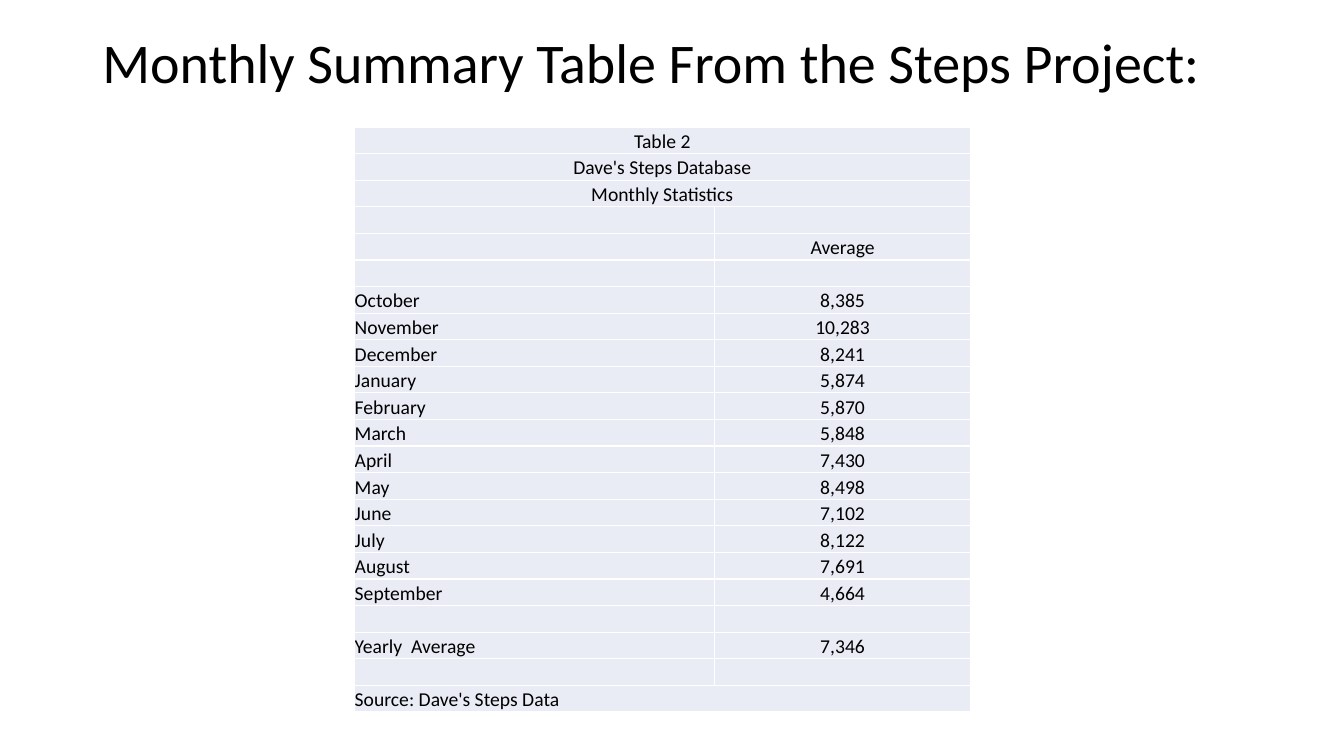
from dataclasses import dataclass

from lxml import etree
from pptx import Presentation
from pptx import util as u
from pptx.dml.color import RGBColor
from pptx.enum import text
from pptx.oxml import ns


@dataclass(frozen=True)
class Theme:
    font: str = "Calibri"
    ink: str = "000000"
    cell: str = "E9EBF5"
    border: str = "FFFFFF"
    title_size: int = 40
    table_size: int = 14
    border_width: int = 1


theme = Theme()


def style_runs(p, size):
    for r in p.runs:
        r.font.name = theme.font
        r.font.size = u.Pt(size)
        r.font.color.rgb = RGBColor.from_string(theme.ink)


def add_borders(cell):
    tc_pr = cell._tc.get_or_add_tcPr()
    for i, side in enumerate(("lnL", "lnR", "lnT", "lnB")):
        ln = etree.Element(ns.qn(f"a:{side}"), w=str(u.Pt(theme.border_width)))
        fill = etree.SubElement(ln, ns.qn("a:solidFill"))
        etree.SubElement(fill, ns.qn("a:srgbClr"), val=theme.border)
        tc_pr.insert(i, ln)


prs = Presentation()
prs.slide_width, prs.slide_height = u.Cm(33.87), u.Cm(19.05)
s = prs.slides.add_slide(prs.slide_layouts[6])

# Title
title = s.shapes.add_textbox(u.Cm(2.33), u.Cm(0.66), u.Cm(29.21), u.Cm(1.98))
tf = title.text_frame
tf.word_wrap = True
tf.vertical_anchor = text.MSO_ANCHOR.MIDDLE
tf.text = "Monthly Summary Table From the Steps Project:"
tf.paragraphs[0].line_spacing = 0.9
style_runs(tf.paragraphs[0], theme.title_size)

# Monthly averages
headings = ["Table 2", "Dave's Steps Database", "Monthly Statistics"]
averages = [
    ("October", "8,385"), ("November", "10,283"), ("December", "8,241"),
    ("January", "5,874"), ("February", "5,870"), ("March", "5,848"),
    ("April", "7,430"), ("May", "8,498"), ("June", "7,102"),
    ("July", "8,122"), ("August", "7,691"), ("September", "4,664"),
]
blank = ("", "")
rows = [
    *((heading, "") for heading in headings),
    blank, ("", "Average"), blank,
    *averages,
    blank, ("Yearly  Average", "7,346"), blank,
    ("Source: Dave's Steps Data", ""),
]
merged_rows = [*range(len(headings)), len(rows) - 1]
col_widths = (u.Cm(9.09), u.Cm(6.45))
row_height = u.Cm(0.67)

table = s.shapes.add_table(len(rows), 2, u.Cm(8.92), u.Cm(3.2),
                           sum(col_widths), row_height * len(rows)).table
table.first_row = table.horz_banding = False
for col, width in zip(table.columns, col_widths):
    col.width = width

for i, row in enumerate(rows):
    table.rows[i].height = row_height
    for j, value in enumerate(row):
        cell = table.cell(i, j)
        cell.text = value
        cell.margin_left = cell.margin_right = cell.margin_top = u.Cm(0.02)
        cell.margin_bottom = 0
        cell.vertical_anchor = text.MSO_ANCHOR.BOTTOM
        cell.fill.solid()
        cell.fill.fore_color.rgb = RGBColor.from_string(theme.cell)
        add_borders(cell)
        p = cell.text_frame.paragraphs[0]
        centred = j == 1 or i < len(headings)
        p.alignment = text.PP_ALIGN.CENTER if centred else text.PP_ALIGN.LEFT
        style_runs(p, theme.table_size)
        if not value:  # keeps empty rows from growing to the default size
            etree.SubElement(p._p, ns.qn("a:endParaRPr"), sz=str(theme.table_size * 100))

for i in merged_rows:
    table.cell(i, 0).merge(table.cell(i, 1))

prs.save("out.pptx")
